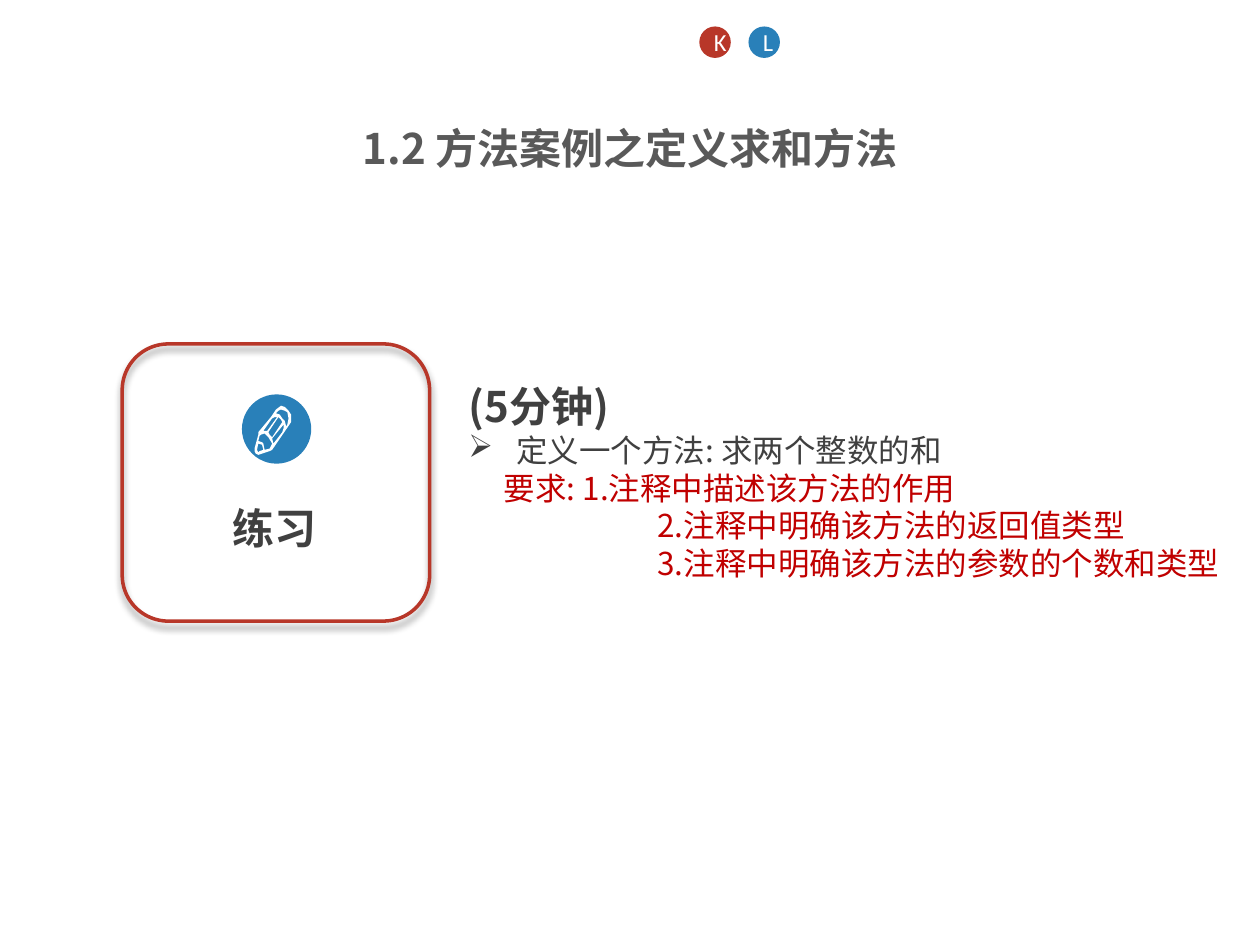
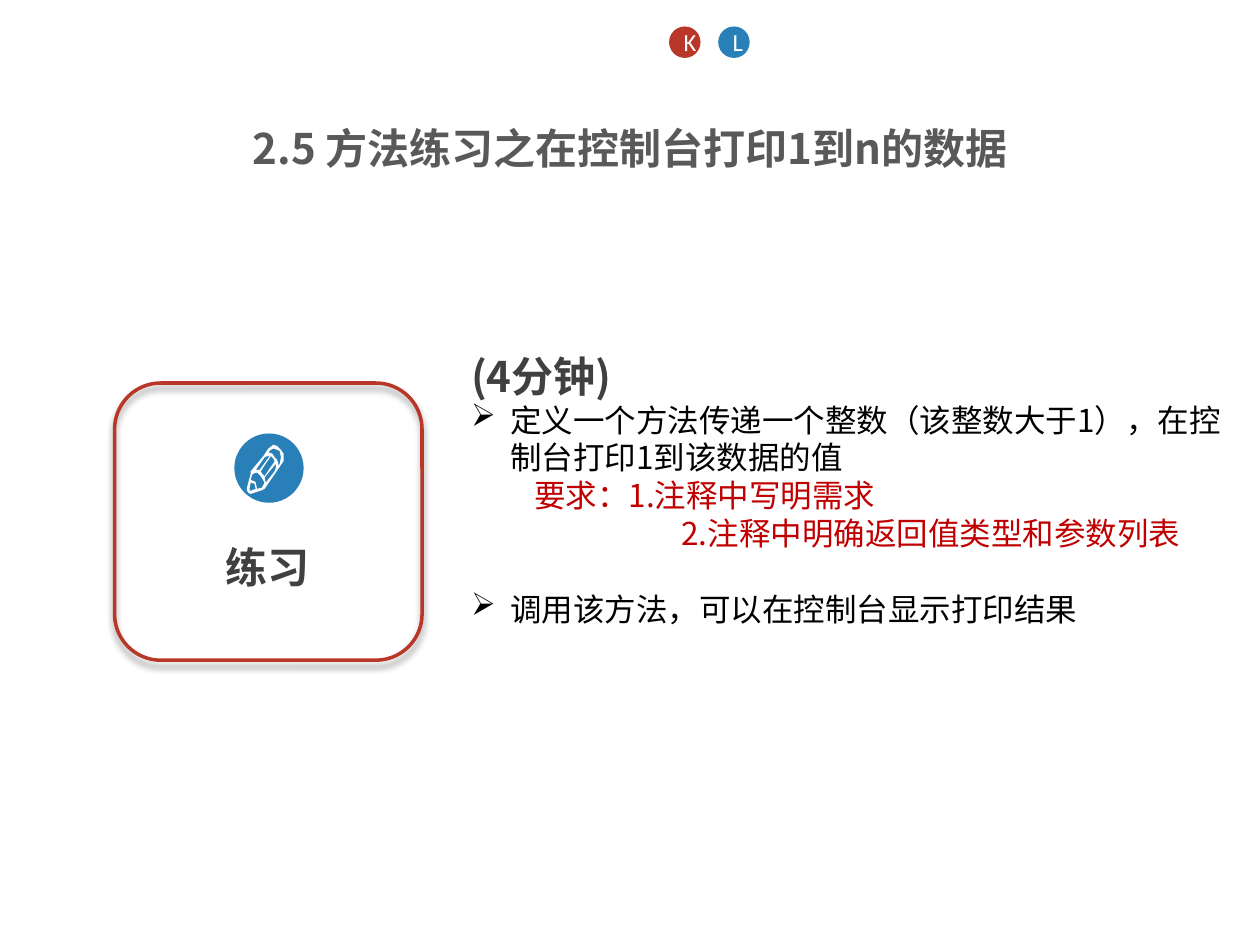
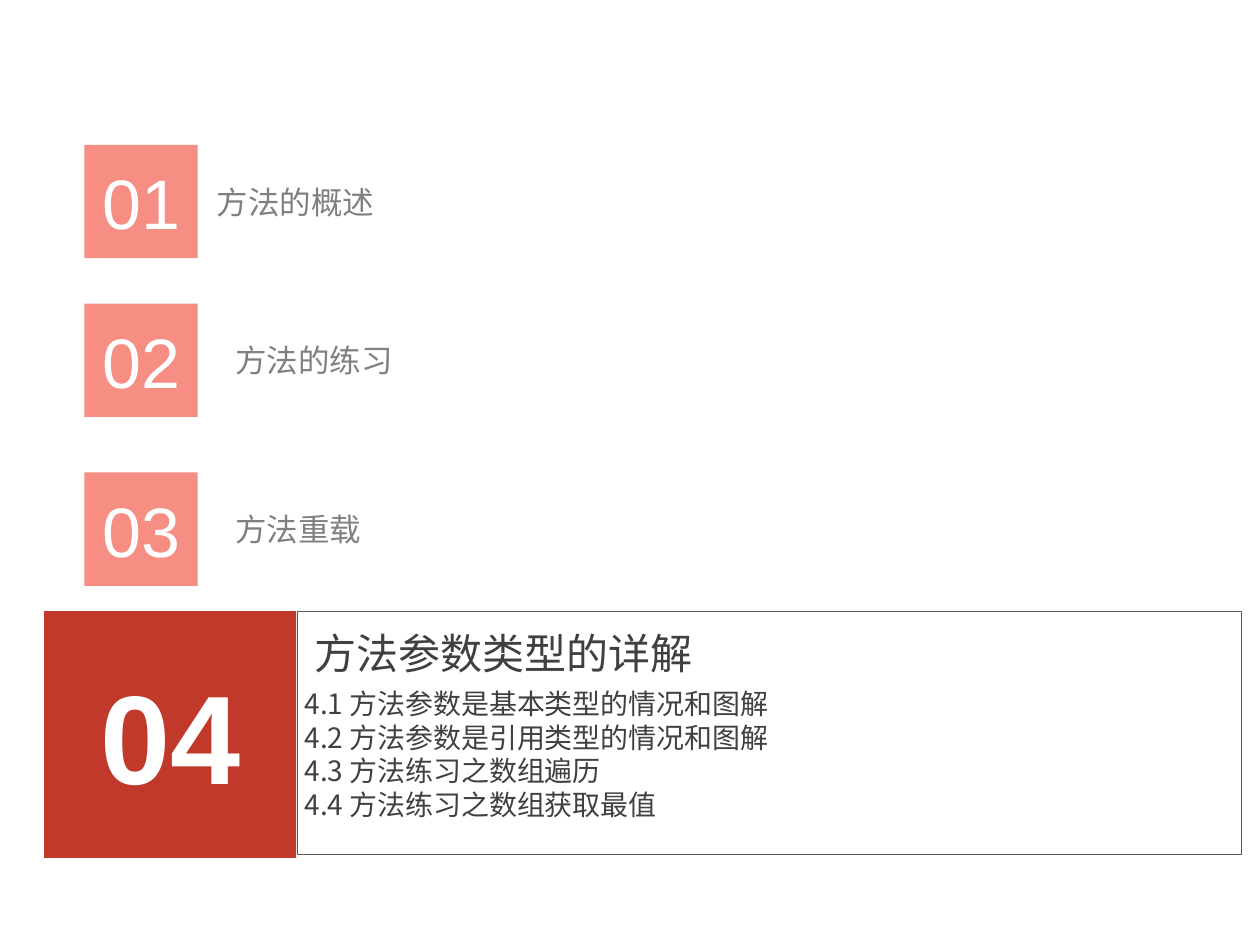
from dataclasses import dataclass

from lxml import etree
from pptx import Presentation
from pptx import util as u
from pptx.dml.color import RGBColor
from pptx.enum import shapes, text
from pptx.oxml.ns import qn


@dataclass(frozen=True)
class Theme:
    """Colours, fonts and type sizes of the deck."""
    red: str = "B83729"
    blue: str = "2980B9"
    brick: str = "C0392B"
    salmon: str = "F47264"
    note: str = "C00000"
    title: str = "595959"
    dark: str = "404040"
    muted: str = "808080"
    black: str = "000000"
    white: str = "FFFFFF"
    cjk: str = "Noto Sans CJK SC"
    number: str = "Arial"
    letter: str = "Calibri"
    heading_size: int = 24
    body_size: int = 18
    topic_size: int = 16
    letter_size: int = 14
    number_size: int = 40
    current_size: int = 72
    line_factor: float = 1.2


THEME = Theme()
RECTANGLE = shapes.MSO_SHAPE.RECTANGLE
OVAL = shapes.MSO_SHAPE.OVAL
PENCIL = [
    [(27, 4), (24, 1), (21, 0), (17, 3), (13, 9), (3, 21), (3, 23), (0, 34), (0, 36),
     (1, 38), (3, 39), (12, 36), (14, 35), (27, 16), (29, 13), (29, 7)],
    [(26, 15), (25, 17), (25, 16), (24, 12), (22, 10), (20, 7), (17, 6), (19, 4),
     (21, 3), (24, 4), (26, 5), (27, 10)],
    [(8, 35), (7, 30), (6, 29), (3, 28), (4, 24), (5, 23), (8, 22), (11, 25), (14, 30), (12, 34)],
    [(4, 36), (3, 37), (2, 35), (3, 30), (6, 31), (7, 35)],
    [(10, 20), (7, 20), (14, 10), (16, 9), (18, 9)],
    [(14, 25), (12, 23), (11, 21), (19, 9), (21, 11), (22, 13)],
    [(15, 30), (14, 26), (23, 15), (23, 18), (22, 21)],
]


def add_xml(parent, tag, **attributes):
    """Append a DrawingML element and return it."""
    return etree.SubElement(parent, qn(tag), {key: str(value) for key, value in attributes.items()})


def write(paragraph, content, size=THEME.body_size, color=THEME.dark, font=THEME.cjk,
          bold=False, align=None, indent=0, bullet=None, before=0, exact=True):
    """Fill a paragraph with one formatted run."""
    paragraph.alignment = align
    paragraph.space_before = u.Pt(before)
    if exact:
        paragraph.line_spacing = u.Pt(size * THEME.line_factor)
    run = paragraph.add_run()
    run.text = content
    run.font.size = u.Pt(size)
    run.font.bold = bold
    run.font.name = font
    run.font.color.rgb = RGBColor.from_string(color)
    add_xml(run.font._element, "a:ea", typeface=font)
    properties = paragraph._p.get_or_add_pPr()
    properties.set("marL", str(u.Inches(indent)))
    properties.set("indent", str(u.Inches(-indent if bullet else 0)))
    if bullet:
        add_xml(properties, "a:buChar", char=bullet)


def add_text(slide, box, lines, wrap=True):
    """Add a text box holding (content, format) lines."""
    frame = slide.shapes.add_textbox(*map(u.Inches, box)).text_frame
    frame.word_wrap = wrap
    for index, (content, style) in enumerate(lines):
        paragraph = frame.add_paragraph() if index else frame.paragraphs[0]
        write(paragraph, content, **style)


def add_shape(slide, kind, box, fill=None, line=None, width=1, alpha=None, label=None, **style):
    """Add a preset shape with optional fill, outline and centred label."""
    shape = slide.shapes.add_shape(kind, *map(u.Inches, box))
    shape.shadow.inherit = False
    if fill:
        shape.fill.solid()
        shape.fill.fore_color.rgb = RGBColor.from_string(fill)
        if alpha:
            color = shape._element.spPr.find(qn("a:solidFill"))[0]
            add_xml(color, "a:alpha", val=alpha * 1000)
    else:
        shape.fill.background()
    if line:
        shape.line.color.rgb = RGBColor.from_string(line)
        shape.line.width = u.Pt(width)
    else:
        shape.line.fill.background()
    if label:
        shape.text_frame.vertical_anchor = text.MSO_ANCHOR.MIDDLE
        write(shape.text_frame.paragraphs[0], label, color=THEME.white,
              align=text.PP_ALIGN.CENTER, exact=False, **style)
    return shape


def add_drop_shadow(shape):
    """Give a shape a soft shadow straight below it."""
    effects = shape._element.spPr.find(qn("a:effectLst"))
    shadow = add_xml(effects, "a:outerShdw", blurRad=u.Pt(4), dist=u.Pt(3),
                     dir=90 * 60000, rotWithShape=0)
    color = add_xml(shadow, "a:srgbClr", val=THEME.black)
    add_xml(color, "a:alpha", val=40000)


def add_pencil(slide, left, top):
    """Draw the white pencil outline with its openings."""
    builder = slide.shapes.build_freeform(*PENCIL[0][0], scale=u.Inches(0.01))
    for index, contour in enumerate(PENCIL):
        if index:
            builder.move_to(*contour[0])
        builder.add_line_segments(contour[1:], close=True)
    pencil = builder.convert_to_shape(u.Inches(left), u.Inches(top))
    pencil.shadow.inherit = False
    pencil.fill.solid()
    pencil.fill.fore_color.rgb = RGBColor.from_string(THEME.white)
    pencil.line.fill.background()


def add_practice_card(slide, left, top):
    """Add the rounded exercise card with its pencil badge."""
    add_text(slide, (left + 0.78, top + 1.21, 0.87, 0.45),
             [("练习", dict(size=THEME.heading_size, bold=True))])
    add_shape(slide, OVAL, (left + 0.95, top + 0.4, 0.55, 0.55), THEME.blue)
    add_pencil(slide, left + 1.05, top + 0.49)
    card = add_shape(slide, shapes.MSO_SHAPE.ROUNDED_RECTANGLE, (left, top, 2.44, 2.2),
                     line=THEME.red, width=2)
    add_drop_shadow(card)


def add_letters(slide, left):
    """Add the K and L discs at the top of a slide."""
    for index, (letter, color) in enumerate((("K", THEME.red), ("L", THEME.blue))):
        add_shape(slide, OVAL, (left + index * 0.39, 0.21, 0.25, 0.25), color, label=letter,
                  size=THEME.letter_size, font=THEME.letter)


def set_title(slide, content):
    """Place and format the slide title."""
    title = slide.shapes.title
    title.left, title.top, title.width, title.height = map(u.Inches, (0, 0.92, 10, 0.47))
    frame = title.text_frame
    frame.auto_size = text.MSO_AUTO_SIZE.NONE
    frame.vertical_anchor = text.MSO_ANCHOR.TOP
    write(frame.paragraphs[0], content, size=THEME.heading_size, color=THEME.title,
          bold=True, align=text.PP_ALIGN.CENTER)


def add_practice_slide(presentation, title, minutes, card, letters_left, body_box, lines):
    """Add an exercise slide: title, card, time allowed and task."""
    slide = presentation.slides.add_slide(presentation.slide_layouts[5])
    set_title(slide, title)
    heading = (f"({minutes}分钟)", dict(size=THEME.heading_size, bold=True))
    add_text(slide, body_box, [heading, *lines])
    add_practice_card(slide, *card)
    add_letters(slide, letters_left)


def add_agenda_slide(presentation):
    """Add the agenda with the fourth chapter opened."""
    slide = presentation.slides.add_slide(presentation.slide_layouts[6])
    add_shape(slide, RECTANGLE, (0.35, 4.85, 2, 1.96), THEME.brick, label="04",
              size=THEME.current_size, font=THEME.number, bold=True)
    add_text(slide, (2.4, 4.93, 3.23, 0.5),
             [("方法参数类型的详解", dict(size=THEME.heading_size))], wrap=False)
    topics = ("方法参数是基本类型的情况和图解", "方法参数是引用类型的情况和图解",
              "方法练习之数组遍历", "方法练习之数组获取最值")
    add_text(slide, (2.32, 5.4, 7.5, 1.3),
             [(f"4.{number} {topic}", dict(size=THEME.topic_size))
              for number, topic in enumerate(topics, 1)])
    add_shape(slide, RECTANGLE, (2.36, 4.85, 7.49, 1.93), line=THEME.title, width=0.5)
    chapters = ((1.15, 1.62, "方法的概述"), (2.41, 1.77, "方法的练习"), (3.75, 1.77, "方法重载"))
    for number, (top, left, chapter) in enumerate(chapters, 1):
        add_shape(slide, RECTANGLE, (0.67, top, 0.9, 0.9), THEME.salmon, alpha=80,
                  label=f"{number:02}", size=THEME.number_size, font=THEME.number)
        add_text(slide, (left, top + 0.25, 2.99, 0.7), [(chapter, dict(color=THEME.muted))])


def main():
    """Build and save the deck."""
    presentation = Presentation()
    presentation.slide_width, presentation.slide_height = u.Inches(10), u.Inches(7.5)
    add_practice_slide(
        presentation, "1.2 方法案例之定义求和方法", 5, (0.97, 2.73), 5.55, (3.62, 2.97, 6.37, 1.72),
        [("定义一个方法: 求两个整数的和", dict(indent=0.38, bullet="➢")),
         ("要求: 1.注释中描述该方法的作用", dict(color=THEME.note, indent=0.28)),
         ("2.注释中明确该方法的返回值类型", dict(color=THEME.note, indent=1.5)),
         ("3.注释中明确该方法的参数的个数和类型", dict(color=THEME.note, indent=1.5))])
    task = dict(color=THEME.black, indent=0.31, bullet="➢")
    add_practice_slide(
        presentation, "2.5 方法练习之在控制台打印1到n的数据", 4, (0.91, 3.04), 5.31,
        (3.64, 2.73, 6.38, 3.23),
        [("定义一个方法传递一个整数（该整数大于1），在控制台打印1到该数据的值", task),
         ("要求：1.注释中写明需求", dict(color=THEME.note, indent=0.5)),
         ("2.注释中明确返回值类型和参数列表", dict(color=THEME.note, indent=1.67)),
         ("调用该方法，可以在控制台显示打印结果", dict(task, before=21.6))])
    add_agenda_slide(presentation)
    presentation.save("out.pptx")


if __name__ == "__main__":
    main()
